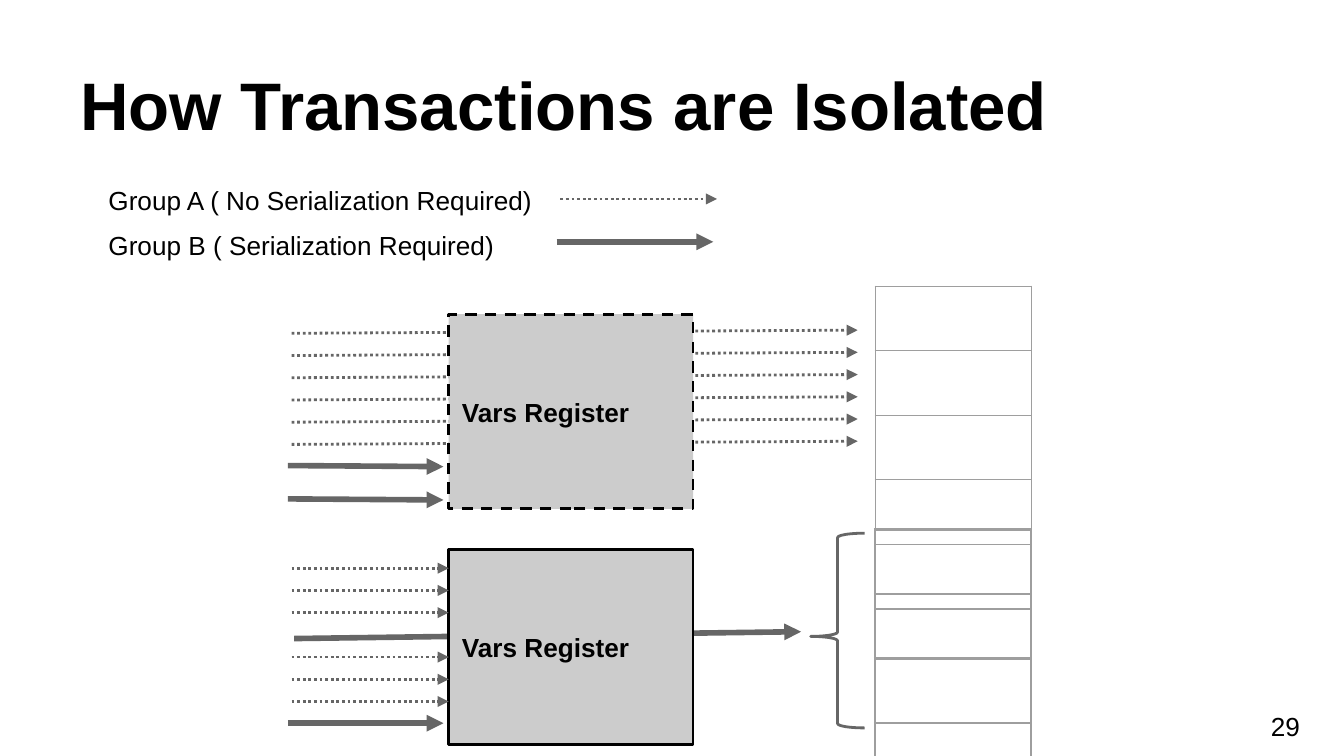
from lxml.etree import SubElement
from pptx import Presentation
from pptx.dml.color import RGBColor
from pptx.enum.dml import MSO_LINE as Dash
from pptx.enum.shapes import MSO_CONNECTOR as Connector, MSO_SHAPE as Shape
from pptx.enum.text import MSO_ANCHOR as Anchor, PP_ALIGN as Align
from pptx.oxml.ns import qn
from pptx.util import Cm, Pt

BLACK, DARK, MIDDLE, LIGHT = "000000", "666666", "9E9E9E", "CCCCCC"
INSET = 0.25
REGISTER_SIZE = (4.62, 3.68)
FLOW_STEP = 0.42


def color(hex_value):
    return RGBColor.from_string(hex_value)


def write(shape, text, size=14, bold=False, anchor=Anchor.TOP):
    frame = shape.text_frame
    frame_format = {"word_wrap": True, "vertical_anchor": anchor}
    for side in ("left", "top", "right", "bottom"):
        frame_format[f"margin_{side}"] = Cm(INSET)
    for name, value in frame_format.items():
        setattr(frame, name, value)
    paragraph = frame.paragraphs[0]
    paragraph.alignment = Align.LEFT
    run = paragraph.add_run()
    run.text = text
    for name, value in {"name": "Arial", "size": Pt(size), "bold": bold}.items():
        setattr(run.font, name, value)
    run.font.color.rgb = color(BLACK)


def add_text(slide, box, text, **text_format):
    write(slide.shapes.add_textbox(*map(Cm, box)), text, **text_format)


def set_line(line, hex_value, width, dash=None):
    line.color.rgb = color(hex_value)
    line.width = Pt(width)
    if dash:
        line.dash_style = dash


def add_arrow(slide, start, end, serialized):
    arrow = slide.shapes.add_connector(Connector.STRAIGHT, *map(Cm, start + end))
    if serialized:
        set_line(arrow.line, DARK, 3)
    else:
        set_line(arrow.line, DARK, 1.5, Dash.ROUND_DOT)
    properties = arrow.line._get_or_add_ln()
    SubElement(properties, qn("a:tailEnd"), type="triangle")
    SubElement(arrow._element.spPr, qn("a:effectLst"))


def add_legend(slide, left, top):
    entries = [
        ("Group A ( No Serialization Required)", 8.79, 0.53, False),
        ("Group B ( Serialization Required)", 8.72, 0.48, True),
    ]
    for row, (text, arrow_left, arrow_top, serialized) in enumerate(entries):
        y = top + 0.86 * row
        add_text(slide, (left, y, 8.94, 1.37), text)
        start = (left + arrow_left, y + arrow_top)
        add_arrow(slide, start, (start[0] + 2.96, start[1]), serialized)


def add_register(slide, left, top, passing, stopping, dash=None):
    """Flows are (x1, y1, x2, y2, serialized), measured from the panel's corner."""

    def add_flows(flows):
        for x1, y1, x2, y2, serialized in flows:
            add_arrow(slide, (left + x1, top + y1), (left + x2, top + y2), serialized)

    # Passing flows run behind the register
    add_flows(passing)
    register = slide.shapes.add_shape(
        Shape.RECTANGLE, *map(Cm, (left + 3.04, top, *REGISTER_SIZE)))
    register.shadow.inherit = False
    register.fill.solid()
    register.fill.fore_color.rgb = color(LIGHT)
    set_line(register.line, BLACK, 1.5, dash)
    write(register, "Vars Register", bold=True, anchor=Anchor.MIDDLE)
    add_flows(stopping)


def add_memory(slide, left, top, border_width, rows=5, width=2.95, row_height=1.22):
    table = slide.shapes.add_table(
        rows, 1, *map(Cm, (left, top, width, rows * row_height))).table
    for name in ("first_row", "horz_banding"):
        setattr(table, name, False)
    for row in table.rows:
        cell = row.cells[0]
        properties = cell._tc.get_or_add_tcPr()
        for side in ("a:lnL", "a:lnR", "a:lnT", "a:lnB"):
            border = SubElement(properties, qn(side), w=str(Pt(border_width)))
            fill = SubElement(border, qn("a:solidFill"))
            SubElement(fill, qn("a:srgbClr"), val=MIDDLE)
        cell.fill.background()


def add_brace(slide, box):
    brace = slide.shapes.add_shape(Shape.LEFT_BRACE, *map(Cm, box))
    brace.shadow.inherit = False
    brace.fill.background()
    set_line(brace.line, DARK, 1.5)
    brace.adjustments[0], brace.adjustments[1] = 0.08, 0.53


def main():
    presentation = Presentation()
    presentation.slide_width, presentation.slide_height = Cm(25.4), Cm(14.29)
    slide = presentation.slides.add_slide(presentation.slide_layouts[6])

    # Title and legend
    add_text(slide, (1.27, 0.58, 22.86, 2.39), "How Transactions are Isolated",
             size=36, bold=True, anchor=Anchor.BOTTOM)
    add_legend(slide, 1.8, 3.23)

    # Unserialized flows pass the open register, serialized ones wait
    add_register(
        slide, 5.44, 5.94,
        passing=[(0.07, 0.36 + FLOW_STEP * i, 10.77, 0.3 + FLOW_STEP * i, False)
                 for i in range(6)],
        stopping=[(0, y, 2.94, y + 0.02, True) for y in (2.86, 3.49)],
        dash=Dash.DASH)

    # A single serialized flow passes the locked register
    add_register(
        slide, 5.44, 10.39,
        passing=[(0.12, 1.68, 9.7, 1.55, True)],
        stopping=[(0.07, 0.35 + FLOW_STEP * i, 3.04, 0.35 + FLOW_STEP * i, False)
                  for i in range(7) if i != 3] + [(0, 3.28, 2.94, 3.28, True)])

    # Memory cells, brace and slide number
    add_memory(slide, 16.54, 5.41, border_width=0.75)
    add_memory(slide, 16.54, 10.01, border_width=1.5)
    add_text(slide, (23.77, 13.18, 1.52, 1.09), "29", anchor=Anchor.MIDDLE)
    add_brace(slide, (15.32, 10.08, 1.02, 3.68))

    presentation.save("out.pptx")


if __name__ == "__main__":
    main()
